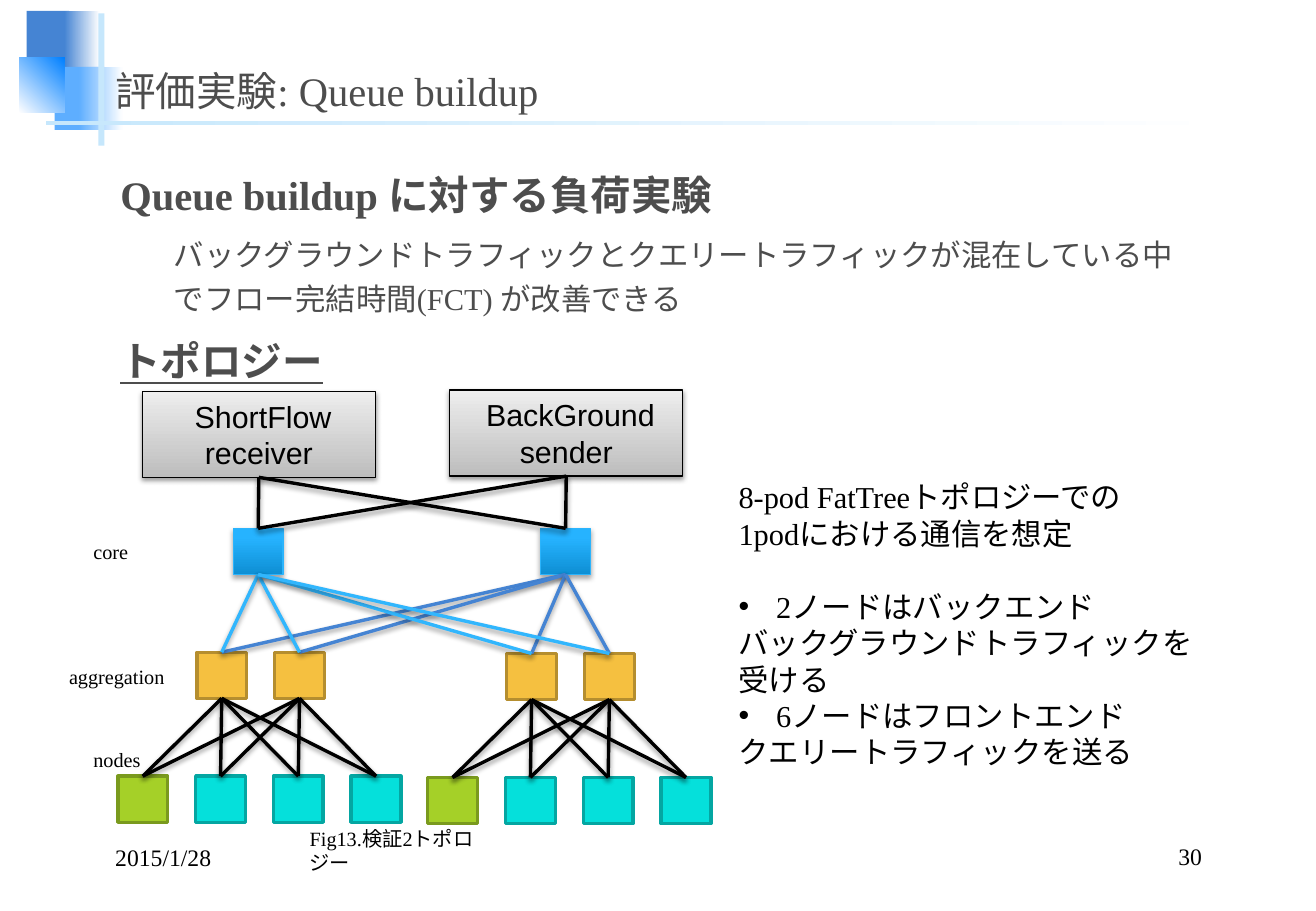
import pptx
import pptx.util
import pptx.dml.color
import pptx.enum.shapes
import pptx.enum.text
import pptx.oxml.ns
from lxml import etree

Inches = pptx.util.Inches
Pt = pptx.util.Pt
ALIGN = pptx.enum.text.PP_ALIGN
ANCHOR = pptx.enum.text.MSO_ANCHOR
AUTO_SIZE = pptx.enum.text.MSO_AUTO_SIZE
SHAPES = pptx.enum.shapes.MSO_SHAPE
CONNECTORS = pptx.enum.shapes.MSO_CONNECTOR
qn = pptx.oxml.ns.qn

SERIF = "Times New Roman"
EAST_ASIAN = "Noto Sans CJK JP"
BLACK, GREY = "000000", "4D4D4D"

TITLE = "評価実験: Queue buildup"
HEADING = {"size": Pt(24), "bold": True}
BODY = [
    ("Queue buildup に対する負荷実験", 0, 0, HEADING),
    ("バックグラウンドトラフィックとクエリートラフィックが混在している中でフロー完結時間(FCT) が改善できる",
     1, 0.44, {"size": Pt(18), "bold": False}),
    ("トポロジー", 0, 0, {**HEADING, "underline": True}),
]
NOTES = [
    ("8-pod FatTreeトポロジーでの", False, 0),
    ("1podにおける通信を想定", False, 0),
    ("2ノードはバックエンド", True, 21.6),
    ("バックグラウンドトラフィックを受ける", False, 0),
    ("6ノードはフロントエンド", True, 0),
    ("クエリートラフィックを送る", False, 0),
]
TIER_LABELS = [
    ("core", (0.67, 4.39, 0.49, 0.3)),
    ("aggregation", (0.47, 5.42, 1, 0.3)),
    ("nodes", (0.67, 6.1, 0.59, 0.3)),
]
FOOTERS = [
    ("2015/1/28", (0.85, 6.9, 2.26, 0.32), ALIGN.LEFT),
    ("30", (7.73, 6.9, 2.26, 0.31), ALIGN.RIGHT),
]
CAPTION = ("Fig13.検証2トポロジー", (2.45, 6.75, 1.79, 0.3))
DECORATIONS = [
    ((0.22, 0.09, 0.35, 0.52), "4584D3", 0),
    ((0.53, 0.09, 0.29, 0.52), [(0, "4584D3"), (1, "FFFFFF")], 0),
    ((0.45, 0.55, 0.41, 0.52), "5EAEFF", 0),
    ((0.65, 0.55, 0.36, 0.52), [(0, "5EAEFF"), (1, "FFFFFF")], 0),
    ((0.16, 0.47, 0.37, 0.46), [(0, "FFFFFF"), (1, "0080FF")], 45),
    ((0.81, 0.11, 0.05, 1.09), "C6E7FC", 0),
    ((0.38, 1, 9.75, 0.03), [(0, "C6E7FC"), (1, "FFFFFF")], 0),
]
SERVERS = [(1.17, 3.22, [" ShortFlow receiver"]), (3.7, 3.21, [" BackGround", "sender"])]
SERVER_SIZE = (1.92, 0.71)
SERVER_FILL = [(0, "BDBDBD"), (1, "EEEEEE")]
CORE_FILL = [(0, "0E8FD4"), (0.8, "26B3FF")]
CORE_LINKS = ["31B6FD", "4584D3"]
CORE_LEFTS, CORE_TOP = (1.92, 4.45), 4.35
BOX_SIZE = (0.41, 0.38)
PODS = [(0.97, 6.39), (3.52, 6.4)]
NODE_PITCH = 0.64
AGGREGATION_OFFSET = (0.65, -1.02)
NODE_COLORS = [("A5D028", "7A9A1E")] + [("05E0DB", "04A6A2")] * 3


def color(value):
    return pptx.dml.color.RGBColor.from_string(value)


def apply_format(target, values):
    for name, value in values.items():
        setattr(target, name, value)


def place(shape, area):
    apply_format(shape, dict(zip(("left", "top", "width", "height"), map(Inches, area))))


def set_effects(shape, opacity=None):
    effects = etree.SubElement(shape._element.spPr, qn("a:effectLst"))
    if opacity:
        shadow = etree.SubElement(effects, qn("a:outerShdw"), blurRad=str(Pt(3.1)),
                                  dist=str(Pt(1.7)), dir="5400000", rotWithShape="0")
        tint = etree.SubElement(shadow, qn("a:srgbClr"), val=BLACK)
        etree.SubElement(tint, qn("a:alpha"), val=str(opacity * 1000))


def add_run(paragraph, text, font_color, values):
    run = paragraph.add_run()
    run.text = text
    apply_format(run.font, {"name": SERIF, **values})
    run.font.color.rgb = color(font_color)
    etree.SubElement(run._r.get_or_add_rPr(), qn("a:ea"), typeface=EAST_ASIAN)


def set_indent(paragraph, margin, first_line, bullet=None):
    properties = paragraph._p.get_or_add_pPr()
    properties.set("marL", str(Inches(margin)))
    properties.set("indent", str(Inches(first_line)))
    if bullet:
        etree.SubElement(properties, qn("a:buFont"), typeface="Arial")
        etree.SubElement(properties, qn("a:buChar"), char=bullet)
    else:
        etree.SubElement(properties, qn("a:buNone"))


def next_paragraph(frame, index):
    return frame.add_paragraph() if index else frame.paragraphs[0]


def add_label(slide, text, area, size, wrap=True, anchor=ANCHOR.TOP, alignment=ALIGN.LEFT):
    frame = slide.shapes.add_textbox(*map(Inches, area)).text_frame
    apply_format(frame, {"word_wrap": wrap, "vertical_anchor": anchor})
    frame.paragraphs[0].alignment = alignment
    add_run(frame.paragraphs[0], text, BLACK, {"size": Pt(size)})


def add_box(slide, area, fill, line=None, width=2, angle=90, opacity=None):
    shape = slide.shapes.add_shape(SHAPES.RECTANGLE, *map(Inches, area))
    if isinstance(fill, str):
        shape.fill.solid()
        shape.fill.fore_color.rgb = color(fill)
    else:
        shape.fill.gradient()
        shape.fill.gradient_angle = angle
        for stop, (position, value) in zip(shape.fill.gradient_stops, fill):
            stop.position = position
            stop.color.rgb = color(value)
    if line:
        shape.line.color.rgb = color(line)
        shape.line.width = Pt(width)
    else:
        shape.line.fill.background()
    set_effects(shape, opacity)
    return shape


def link(slide, upper, lower, line=BLACK):
    connector = slide.shapes.add_connector(CONNECTORS.STRAIGHT, 0, 0, 0, 0)
    connector.begin_connect(lower, 0)
    connector.end_connect(upper, 2)
    connector.line.color.rgb = color(line)
    connector.line.width = Pt(2)
    set_effects(connector, 38)


def add_title_and_body(slide):
    title, body = slide.placeholders
    for placeholder, area in ((title, (0.85, 0.36, 9.29, 0.63)), (body, (0.89, 1.27, 9.06, 5.32))):
        place(placeholder, area)
        placeholder.text_frame.auto_size = AUTO_SIZE.NONE
        slide.shapes._spTree.append(placeholder._element)
    title.text_frame.vertical_anchor = ANCHOR.BOTTOM
    heading = title.text_frame.paragraphs[0]
    heading.alignment = ALIGN.LEFT
    add_run(heading, TITLE, GREY, {"size": Pt(24)})
    for index, (text, level, margin, values) in enumerate(BODY):
        paragraph = next_paragraph(body.text_frame, index)
        apply_format(paragraph, {"level": level, "line_spacing": 1.2, "space_before": Pt(6)})
        set_indent(paragraph, margin, 0)
        add_run(paragraph, text, GREY, values)


def add_topology(slide):
    servers = []
    for left, top, lines in SERVERS:
        server = add_box(slide, (left, top, *SERVER_SIZE), SERVER_FILL, BLACK, 0.75, opacity=38)
        for index, text in enumerate(lines):
            paragraph = next_paragraph(server.text_frame, index)
            paragraph.alignment = ALIGN.CENTER
            add_run(paragraph, text, BLACK, {"name": "Arial", "size": Pt(18)})
        servers.append(server)
    cores = [add_box(slide, (left, CORE_TOP, *BOX_SIZE), CORE_FILL, "2BB4FC", 0.75, opacity=35)
             for left in CORE_LEFTS]
    switches = []
    for left, top in PODS:
        nodes = [add_box(slide, (left + index * NODE_PITCH, top, *BOX_SIZE), *colors)
                 for index, colors in enumerate(NODE_COLORS)]
        across, up = AGGREGATION_OFFSET
        pair = [add_box(slide, (left + across + index * NODE_PITCH, top + up, *BOX_SIZE),
                        "F5C040", "B58E2F") for index in range(2)]
        for switch in pair:
            for node in nodes:
                link(slide, switch, node)
        switches += pair
    for core, line in reversed(list(zip(cores, CORE_LINKS))):
        for switch in switches:
            link(slide, core, switch, line)
        for server in servers:
            link(slide, server, core)


def add_notes(slide):
    frame = slide.shapes.add_textbox(*map(Inches, (5.98, 3.89, 3.97, 2.22))).text_frame
    frame.word_wrap = True
    for index, (text, bulleted, gap) in enumerate(NOTES):
        paragraph = next_paragraph(frame, index)
        paragraph.space_before = Pt(gap)
        if bulleted:
            set_indent(paragraph, 0.31, -0.31, "•")
        add_run(paragraph, text, BLACK, {"size": Pt(18)})


def main():
    presentation = pptx.Presentation()
    apply_format(presentation, {"slide_width": Inches(10.83), "slide_height": Inches(7.5)})
    slide = presentation.slides.add_slide(presentation.slide_layouts[1])
    for area, fill, angle in DECORATIONS:
        add_box(slide, area, fill, angle=angle)
    add_title_and_body(slide)
    for text, area, alignment in FOOTERS:
        add_label(slide, text, area, 14, anchor=ANCHOR.BOTTOM, alignment=alignment)
    add_label(slide, *CAPTION, 12)
    add_topology(slide)
    add_notes(slide)
    for text, area in TIER_LABELS:
        add_label(slide, text, area, 12, wrap=False)
    presentation.save("out.pptx")


if __name__ == "__main__":
    main()
